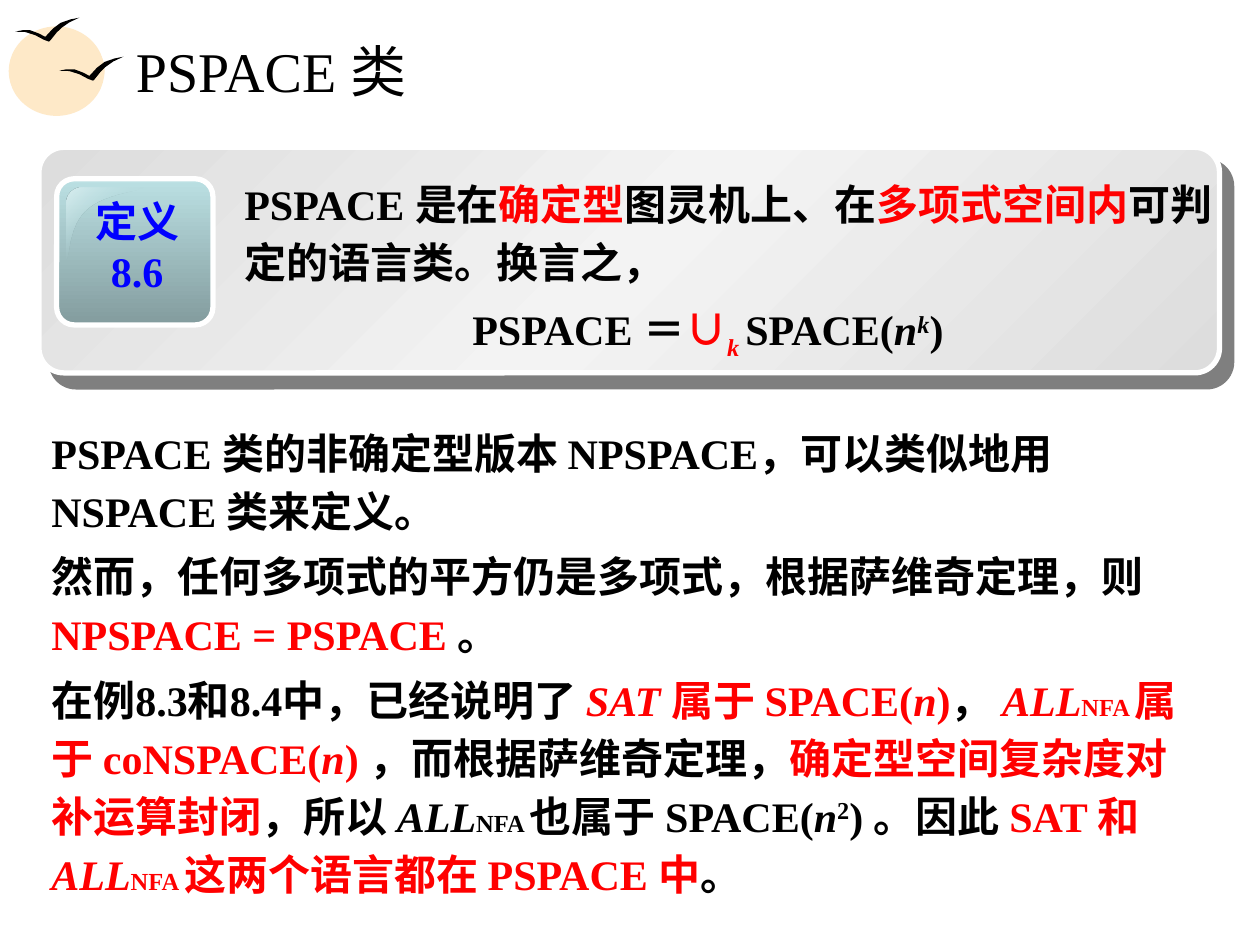
"""Build the slide that defines the PSPACE class."""
from copy import deepcopy

from lxml import etree
from pptx import Presentation
from pptx.dml.color import RGBColor
from pptx.enum.shapes import MSO_SHAPE
from pptx.enum.text import MSO_ANCHOR, PP_ALIGN
from pptx.oxml.ns import qn
from pptx.util import Pt

OVAL, ROUND = MSO_SHAPE.OVAL, MSO_SHAPE.ROUNDED_RECTANGLE
LEFT, CENTER = PP_ALIGN.LEFT, PP_ALIGN.CENTER
TOP, MIDDLE = MSO_ANCHOR.TOP, MSO_ANCHOR.MIDDLE
BLACK, WHITE = RGBColor(0, 0, 0), RGBColor(255, 255, 255)
RED, BLUE = RGBColor(255, 0, 0), RGBColor(0, 0, 255)
SUN = RGBColor(0xFE, 0xE9, 0xC8)
GREY, PALE = RGBColor(0xDD, 0xDD, 0xDD), RGBColor(0xF3, 0xF3, 0xF3)
TEAL, DARK = RGBColor(0xBB, 0xE0, 0xE3), RGBColor(0x83, 0x9C, 0x9E)
GLOSS = RGBColor(0xDA, 0xEE, 0xF0)
FONT = "Times New Roman"

# Run marks: r red, i italic, s small, ^ raised, _ lowered
TITLE = [[("PSPACE 类", "")]]
LABEL = [[("定义8.6", "")]]
RULE = [
    [("PSPACE 是在", ""), ("确定型", "r"), ("图灵机上、在", ""),
     ("多项式空间内", "r"), ("可判定的语言类。换言之，", "")],
    [("PSPACE ＝", ""), ("∪", "r"), ("k ", "ri_"), ("SPACE(", ""),
     ("n", "i"), ("k", "i^"), (")", "")],
]
BODY = [
    [("PSPACE 类的非确定型版本 NPSPACE，可以类似地用NSPACE 类来定义。", "")],
    [("然而，任何多项式的平方仍是多项式，根据萨维奇定理，则", ""),
     ("NPSPACE = PSPACE ", "r"), ("。", "")],
    [("在例8.3和8.4中，已经说明了 ", ""), ("SAT ", "ri"), ("属于 SPACE(", "r"),
     ("n", "ri"), (")", "r"), ("， ", ""), ("ALL", "ri"), ("NFA ", "rs"),
     ("属于 coNSPACE(", "r"), ("n", "ri"), (") ", "r"),
     ("，而根据萨维奇定理，", ""), ("确定型空间复杂度对补运算封闭", "r"),
     ("，所以 ", ""), ("ALL", "i"), ("NFA ", "s"), ("也属于 SPACE(", ""),
     ("n", "i"), ("2", "^"), (") 。因此 ", ""), ("SAT 和", "r"), ("ALL", "ri"),
     ("NFA ", "rs"), ("这两个语言都在 PSPACE 中", "r"), ("。", "")],
]
SUNS = [(5, 15.1, 54.7, 51.1), (14.4, 20.2, 45.4, 39.6)]
BIRDS = [(33.8, 32.4), (8.6, 10.1)]
WING = [(0, 8), (4.3, 7.2), (8.6, 7.2), (13.7, 9.1), (17.3, 11), (21.6, 6.3),
        (26, 3), (31.7, 1), (36.7, 0), (31, 2.7), (26.6, 5.8), (23.7, 8.6),
        (20.2, 13), (19.4, 13.7), (16.6, 12.7), (11.5, 10), (5.8, 8.2)]
CURVES = [
    [(46.8, 107.3), (42.5, 107.3), (38.2, 110.9), (38.2, 115.9)],
    [(38.2, 148.3), (40.3, 149), (38.9, 128.9), (50.4, 119.5)],
    [(50.4, 119.5), (61.2, 110.2), (82.8, 109.4), (82.1, 107.3)],
]


def bend(ends, steps=12):
    """Sample a cubic curve."""
    pts = []
    for step in range(steps + 1):
        t = step / steps
        parts = ((1 - t) ** 3, 3 * t * (1 - t) ** 2, 3 * t * t * (1 - t), t ** 3)
        pts.append(tuple(sum(w * p[axis] for w, p in zip(parts, ends))
                         for axis in (0, 1)))
    return pts


def shade(shape, tones, angle):
    """Fill with evenly spaced gradient tones."""
    fill = shape.fill
    fill.gradient()
    fill.gradient_angle = 360 - angle
    stops = shape._element.spPr.find(".//" + qn("a:gsLst"))
    for _ in tones[2:]:
        stops.append(deepcopy(stops[0]))
    for num, (stop, tone) in enumerate(zip(fill.gradient_stops, tones)):
        stop.color.rgb = tone
        stop.position = num / (len(tones) - 1)
    return stops


def add_form(slide, kind, box, fill=None):
    shape = slide.shapes.add_shape(kind, *map(Pt, box))
    shape.shadow.inherit = False
    if fill is not None:
        shape.fill.solid()
        shape.fill.fore_color.rgb = fill
        shape.line.fill.background()
    return shape


def add_card(slide, box, bend_by, tones, angle):
    card = add_form(slide, ROUND, box)
    card.adjustments[0] = bend_by
    shade(card, tones, angle)
    card.line.color.rgb = WHITE
    card.line.width = Pt(3)
    return card


def add_free(slide, pts):
    pts = [(Pt(x), Pt(y)) for x, y in pts]
    pen = slide.shapes.build_freeform(*pts[0])
    pen.add_line_segments(pts[1:], close=True)
    shape = pen.convert_to_shape()
    shape.shadow.inherit = False
    shape.line.fill.background()
    return shape


def add_text(slide, box, paras, size=24, color=BLACK, bold=True,
             aligns=(LEFT,), anchor=TOP, lead=None, gap=0):
    frame = slide.shapes.add_textbox(*map(Pt, box)).text_frame
    frame.word_wrap = True
    frame.vertical_anchor = anchor
    for num, runs in enumerate(paras):
        para = frame.add_paragraph() if num else frame.paragraphs[0]
        para.alignment = aligns[num % len(aligns)]
        para.line_spacing = lead
        para.space_before = Pt(gap)
        for words, marks in runs:
            run = para.add_run()
            run.text = words
            font = run.font
            font.name, font.bold = FONT, bold
            font.size = Pt(14 if "s" in marks else size)
            font.italic = "i" in marks
            font.color.rgb = RED if "r" in marks else color
            for mark, shift in (("^", "30000"), ("_", "-25000")):
                if mark in marks:
                    run._r.get_or_add_rPr().set("baseline", shift)
    return frame


def main():
    deck = Presentation()
    deck.slide_width, deck.slide_height = Pt(720), Pt(540)
    slide = deck.slides.add_slide(deck.slide_layouts[6])

    for box in SUNS:
        add_form(slide, OVAL, box, SUN)
    for left, top in BIRDS:
        bird = add_free(slide, [(left + x, top + y) for x, y in WING])
        bird.fill.solid()
        bird.fill.fore_color.rgb = BLACK
    add_text(slide, (70.6, 15.1, 614.2, 49.7), TITLE, size=32, bold=False,
             anchor=MIDDLE)

    card = add_card(slide, (22.3, 84.2, 674.6, 128.9), 0.11,
                    (GREY, PALE, GREY), 45)
    cast = etree.SubElement(
        card._element.spPr.find(qn("a:effectLst")), qn("a:outerShdw"),
        dist=str(Pt(10.6)), dir=str(49 * 60000), algn="ctr", rotWithShape="0")
    tone = etree.SubElement(cast, qn("a:srgbClr"), val=str(BLACK))
    etree.SubElement(tone, qn("a:alpha"), val="50000")

    add_card(slide, (32.4, 102.2, 89.3, 83.5), 0.12, (TEAL, DARK), 90)
    gloss = add_free(slide, [pt for ends in CURVES for pt in bend(ends)])
    stops = shade(gloss, (GLOSS, TEAL, GLOSS), 45)
    etree.SubElement(stops[1][0], qn("a:alpha"), val="0")

    add_text(slide, (44.6, 108, 67.7, 64.8), LABEL, color=BLUE,
             aligns=(CENTER,))
    rule = add_text(slide, (132.5, 94.3, 568.1, 115.9), RULE,
                    aligns=(LEFT, CENTER), lead=1.15, gap=4.5)
    rule.paragraphs[1]._p.get_or_add_pPr().set("marR", str(Pt(24)))
    add_text(slide, (22.3, 236.2, 669.6, 281.5), BODY, lead=1.15, gap=4.5)
    deck.save("out.pptx")


if __name__ == "__main__":
    main()
